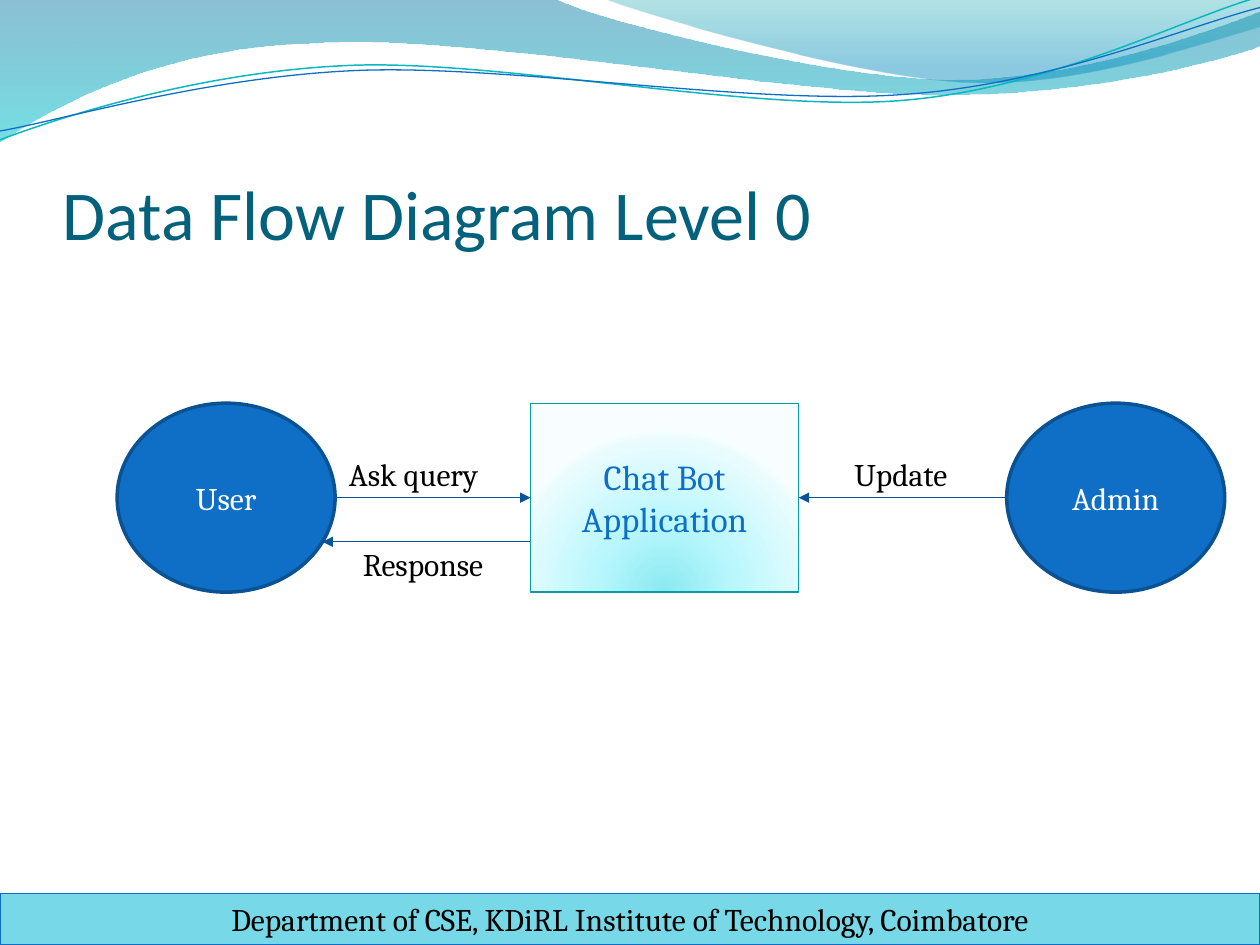
from lxml import etree
from pptx import Presentation
from pptx.dml.color import RGBColor
from pptx.enum import shapes, text
from pptx.oxml.ns import qn
from pptx.util import Inches, Pt

TITLE_TEAL = RGBColor(0x04, 0x61, 0x7B)
BLUE = RGBColor(0x0F, 0x6F, 0xC6)
DARK_BLUE = RGBColor(0x0B, 0x52, 0x92)
ARROW_BLUE = RGBColor(0x09, 0x52, 0x95)
CYAN = RGBColor(0x0A, 0xB8, 0xBF)
BOX_TEAL = RGBColor(0x06, 0x9C, 0xA3)
FOOTER_CYAN = RGBColor(0x77, 0xD9, 0xE8)
BLACK = RGBColor(0, 0, 0)
WHITE = RGBColor(0xFF, 0xFF, 0xFF)
LEFT_WAVE = [(0, RGBColor(0x00, 0x74, 0xA1), 45), (100, RGBColor(0x00, 0xC6, 0xCF), 55)]
RIGHT_WAVE = [(0, RGBColor(0x00, 0xA1, 0xA9), 30), (80, RGBColor(0x00, 0x8B, 0xBF), 45)]
BOX_GLOW = [(0, RGBColor(0x8B, 0xE9, 0xF1), 100), (43, RGBColor(0xB9, 0xF7, 0xFD), 100),
            (93, RGBColor(0xEA, 0xFC, 0xFE), 100), (100, RGBColor(0xF8, 0xFE, 0xFF), 100)]


def add_node(parent, tag, **attributes):
    return etree.SubElement(parent, qn(tag), {k: str(v) for k, v in attributes.items()})


def fill_gradient(shape, stops, glow_rect=None):
    """Fill from top to bottom, or outwards from glow_rect (l, t, r, b in percent)."""
    shape.fill.gradient()
    gradient = shape._element.spPr.find(qn("a:gradFill"))
    gradient.clear()
    stop_list = add_node(gradient, "a:gsLst")
    for position, color, opacity in stops:
        stop = add_node(stop_list, "a:gs", pos=position * 1000)
        add_node(add_node(stop, "a:srgbClr", val=color), "a:alpha", val=opacity * 1000)
    if glow_rect:
        circle = add_node(gradient, "a:path", path="circle")
        sides = {side: share * 1000 for side, share in zip("ltrb", glow_rect)}
        add_node(circle, "a:fillToRect", **sides)
    else:
        add_node(gradient, "a:lin", ang=90 * 60000, scaled=0)


def write(shape, wording, size, color, font="Cambria", align=text.PP_ALIGN.CENTER,
          anchor=text.MSO_ANCHOR.MIDDLE):
    frame = shape.text_frame
    frame.text = wording
    frame.word_wrap = True
    frame.vertical_anchor = anchor
    paragraph = frame.paragraphs[0]
    paragraph.alignment = align
    run_font = paragraph.runs[0].font
    run_font.name, run_font.size, run_font.color.rgb = font, Pt(size), color
    return frame


def set_line(shape, color, width):
    shape.line.color.rgb = color
    shape.line.width = Pt(width)


def add_outlined(slide, kind, box, line_color, line_width, fill=None):
    shape = slide.shapes.add_shape(kind, *map(Inches, box))
    shape.shadow.inherit = False
    set_line(shape, line_color, line_width)
    if fill is not None:
        shape.fill.solid()
        shape.fill.fore_color.rgb = fill
    return shape


def add_outline(slide, box, start, segments, closed):
    """Outline of straight lines (two numbers) and cubic curves (six numbers)."""
    def place(x, y):
        return Inches(box[0] + x), Inches(box[1] + y)

    builder = slide.shapes.build_freeform(*place(*start), scale=1.0)
    builder.add_line_segments([place(*segment[-2:]) for segment in segments], close=closed)
    shape = builder.convert_to_shape()
    shape.shadow.inherit = False

    # Bend the lines that have control points
    lines = list(shape._element.spPr.iter(qn("a:lnTo")))
    for line, segment in zip(lines, segments):
        if len(segment) == 6:
            curve = etree.Element(qn("a:cubicBezTo"))
            for i in (0, 2, 4):
                x, y = place(*segment[i:i + 2])
                add_node(curve, "a:pt", x=x - shape.left, y=y - shape.top)
            line.getparent().replace(line, curve)
    return shape


def add_waves(slide, box):
    # Shaded waves
    bands = [
        (LEFT_WAVE, (0, 0), [
            (4.4, -0.01), (4.76, 0.17, 6.64, 0.63, 7.58, 0.63),
            (8.53, 0.63, 9.58, 0.26, 10, 0.09), (10.01, 0.36),
            (9.83, 0.44, 8.7, 0.76, 7.46, 0.75), (6.22, 0.75, 3.82, 0.28, 2.57, 0.34),
            (1.29, 0.36, 0.46, 0.83, -0.01, 1.13), (0, 0)]),
        (RIGHT_WAVE, (4.79, -0.01), [
            (5.09, 0.11, 6.82, 0.62, 7.69, 0.65), (8.56, 0.69, 9.61, 0.32, 10, 0.21),
            (10, 0), (4.79, -0.01)]),
    ]
    for stops, start, segments in bands:
        band = add_outline(slide, box, start, segments, True)
        fill_gradient(band, stops)
        band.line.fill.background()

    # Thin wave lines
    strands = [
        (CYAN, 0.85, (0, 1.11), [
            (0.48, 0.93, 1.58, 0.57, 2.77, 0.52), (3.95, 0.47, 5.93, 0.89, 7.13, 0.8),
            (8.33, 0.71, 9.38, 0.15, 9.98, -0.02)]),
        (BLUE, 0.75, (0, 1.04), [
            (0.47, 0.96, 1.64, 0.61, 2.83, 0.56), (4.03, 0.51, 5.97, 0.84, 7.17, 0.75),
            (8.36, 0.67, 9.41, 0.21, 10, 0.06)]),
    ]
    for color, width, start, segments in strands:
        strand = add_outline(slide, box, start, segments, False)
        strand.fill.background()
        set_line(strand, color, width)


def add_title(slide, box):
    title = slide.shapes.add_textbox(*map(Inches, box))
    frame = write(title, "Data Flow Diagram Level 0", 40, TITLE_TEAL, "Calibri",
                  text.PP_ALIGN.LEFT, text.MSO_ANCHOR.BOTTOM)
    frame.margin_left = frame.margin_right = frame.margin_bottom = 0


def add_footer(slide, box):
    footer = add_outlined(slide, shapes.MSO_SHAPE.RECTANGLE, box, BLUE, 0.75, FOOTER_CYAN)
    write(footer, "Department of CSE, KDiRL Institute of Technology, Coimbatore", 18, BLACK,
          anchor=text.MSO_ANCHOR.TOP)


def add_flow(slide, start_x, end_x, y):
    arrow = slide.shapes.add_connector(shapes.MSO_CONNECTOR.STRAIGHT, Inches(start_x), Inches(y),
                                       Inches(end_x), Inches(y))
    set_line(arrow, ARROW_BLUE, 0.75)
    properties = arrow._element.spPr
    add_node(properties.find(qn("a:ln")), "a:tailEnd", type="triangle")
    add_node(properties, "a:effectLst")


def add_diagram(slide, box):
    left, top, width, height = box
    actor_width, app_width, app_offset = 1.73, 2.13, 3.28
    user_right, admin_left = left + actor_width, left + width - actor_width
    app_left = left + app_offset
    app_right = app_left + app_width
    middle = top + height / 2

    # Actors
    for actor, x in (("User", left), ("Admin", admin_left)):
        oval = add_outlined(slide, shapes.MSO_SHAPE.OVAL, (x, top, actor_width, height),
                            DARK_BLUE, 2, BLUE)
        write(oval, actor, 18, WHITE)

    # Application
    app = add_outlined(slide, shapes.MSO_SHAPE.RECTANGLE, (app_left, top, app_width, height),
                       BOX_TEAL, 0.75)
    fill_gradient(app, BOX_GLOW, (50, 130, 50, -30))
    write(app, "Chat Bot Application", 20, BLUE)

    # Flows and their labels: ends, drop below middle, label place, width and inset
    flows = [
        ("Ask query", user_right, app_left, 0, 1.63, 0.36, 1.43, 0.21),
        ("Response", app_left, user_right - 0.1, 0.35, 1.79, 1.08, 1.32, 0.16),
        ("Update", admin_left, app_right, 0, 5.64, 0.36, 1.19, 0.21),
    ]
    for flow, start_x, end_x, drop, label_x, label_y, label_width, inset in flows:
        add_flow(slide, start_x, end_x, middle + drop)
        label = slide.shapes.add_textbox(Inches(left + label_x), Inches(top + label_y),
                                         Inches(label_width), Inches(0.4))
        frame = write(label, flow, 18, BLACK, align=text.PP_ALIGN.LEFT,
                      anchor=text.MSO_ANCHOR.TOP)
        frame.margin_left, frame.margin_right = Inches(inset), 0


def main():
    deck = Presentation()
    deck.slide_width, deck.slide_height = Inches(10), Inches(7.5)
    slide = deck.slides.add_slide(deck.slide_layouts[6])
    add_waves(slide, (0, 0, 10, 1.13))
    add_title(slide, (0.5, 0.77, 9, 1.25))
    add_footer(slide, (0, 7.09, 10, 0.41))
    add_diagram(slide, (0.93, 3.2, 8.79, 1.5))
    deck.save("out.pptx")


if __name__ == "__main__":
    main()
